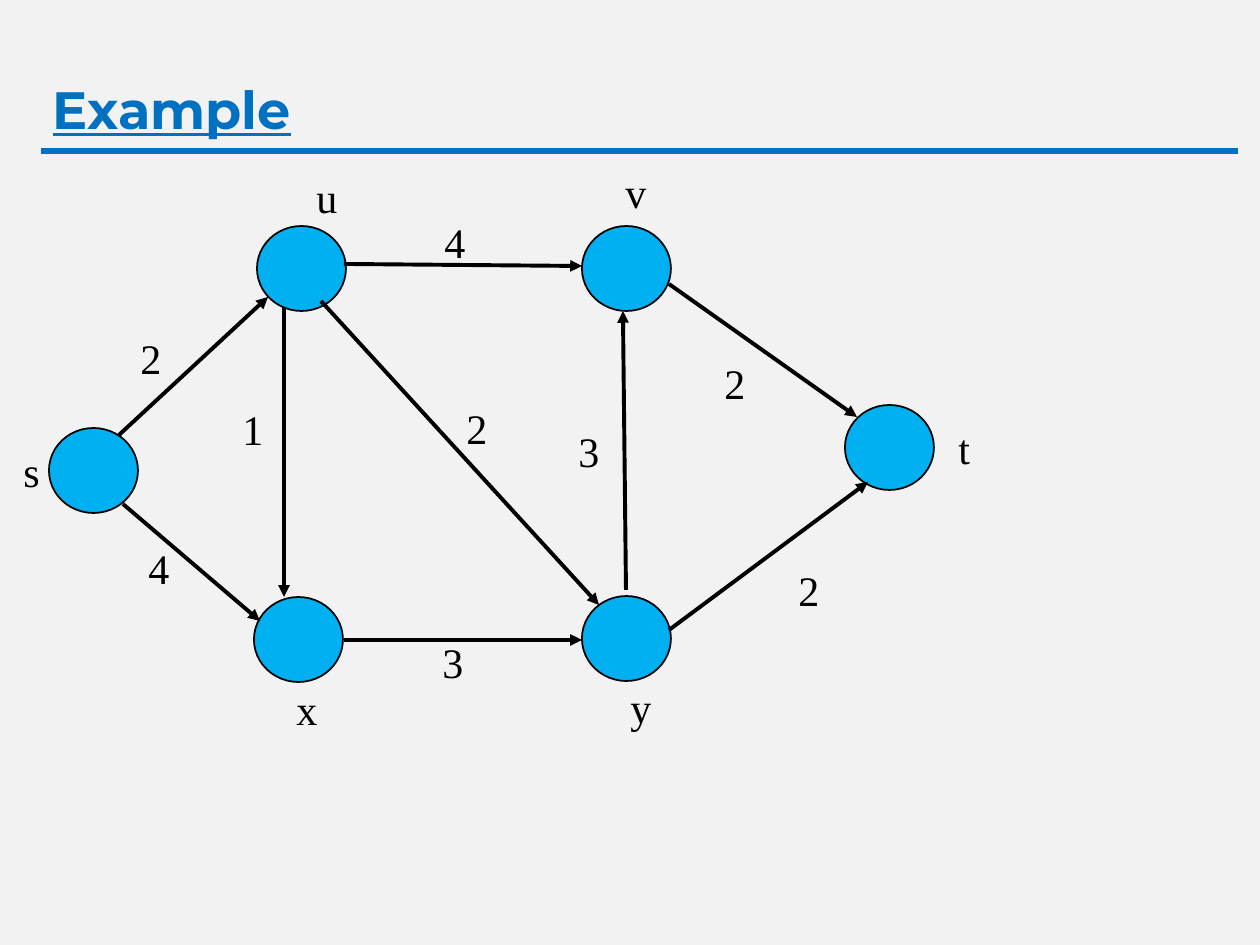
import pptx
import pptx.util
import pptx.dml.color
import pptx.enum.shapes
import pptx.enum.text
import pptx.oxml
import pptx.oxml.ns

RGB = pptx.dml.color.RGBColor
PAPER = RGB(0xF2, 0xF2, 0xF2)
BLUE = RGB(0x00, 0x70, 0xC0)
SKY = RGB(0x00, 0xB0, 0xF0)
BLACK = RGB(0, 0, 0)
SCALE = 914400 / 126
NODE_W, NODE_H = 89, 85
TEXT_H = 63


def emu(*sizes):
    return [round(size * SCALE) for size in sizes]


def draw_line(ends, color, width, arrow):
    link = slide.shapes.add_connector(
        pptx.enum.shapes.MSO_CONNECTOR.STRAIGHT, *emu(*ends))
    link.line.color.rgb = color
    link.line.width = pptx.util.Pt(width)
    space = pptx.oxml.ns.nsdecls("a")
    props = link._element.spPr
    if arrow:
        props.get_or_add_ln().append(pptx.oxml.parse_xml(
            '<a:tailEnd %s type="triangle"/>' % space))
    props.append(pptx.oxml.parse_xml("<a:effectLst %s/>" % space))


deck = pptx.Presentation()
deck.slide_width, deck.slide_height = emu(1260, 945)
slide = deck.slides.add_slide(deck.slide_layouts[5])
slide.background.fill.solid()
slide.background.fill.fore_color.rgb = PAPER

draw_line((41, 151, 1238, 151), BLUE, 3, False)

title = slide.shapes.title
title.left, title.top, title.width, title.height = emu(40, 2, 1197, 145)
title.text_frame.text = "Example"
title.text_frame.vertical_anchor = pptx.enum.text.MSO_ANCHOR.BOTTOM
head = title.text_frame.paragraphs[0]
head.alignment = pptx.enum.text.PP_ALIGN.LEFT
head.line_spacing = 0.9
font = head.runs[0].font
look = {"name": "Montserrat", "size": pptx.util.Pt(30),
        "bold": True, "underline": True}
for key, value in look.items():
    setattr(font, key, value)
font.color.rgb = BLUE

nodes = [(49, 428), (257, 226), (582, 226),
         (254, 597), (582, 596), (845, 405)]
for left, top in nodes:
    node = slide.shapes.add_shape(
        pptx.enum.shapes.MSO_SHAPE.OVAL, *emu(left, top, NODE_W, NODE_H))
    node.shadow.inherit = False
    node.fill.solid()
    node.fill.fore_color.rgb = SKY
    node.line.color.rgb = BLACK
    node.line.width = pptx.util.Pt(1)

edges = [
    (119, 435, 268, 297),
    (123, 504, 260, 621),
    (284, 307, 284, 597),
    (321, 301, 599, 605),
    (344, 264, 582, 266),
    (344, 640, 582, 640),
    (626, 590, 623, 311),
    (669, 284, 857, 417),
    (669, 630, 868, 482),
]
for edge in edges:
    draw_line(edge, BLACK, 2.25, True)

labels = [
    ("s", 11, 439, 41), ("u", 304, 165, 39), ("v", 613, 160, 46),
    ("x", 284, 677, 46), ("y", 618, 675, 46), ("t", 946, 416, 37),
    ("2", 128, 326, 46), ("4", 136, 536, 46), ("1", 230, 397, 46),
    ("2", 454, 396, 46), ("4", 432, 210, 46), ("3", 430, 630, 46),
    ("3", 566, 419, 46), ("2", 712, 351, 46), ("2", 786, 558, 46),
]
look = {"name": "Times New Roman", "size": pptx.util.Pt(24)}
for text, left, top, width in labels:
    box = slide.shapes.add_textbox(*emu(left, top, width, TEXT_H))
    frame = box.text_frame
    frame.text = text
    frame.word_wrap = text == "u"
    frame.auto_size = pptx.enum.text.MSO_AUTO_SIZE.SHAPE_TO_FIT_TEXT
    font = frame.paragraphs[0].runs[0].font
    for key, value in look.items():
        setattr(font, key, value)
    font.color.rgb = BLACK

deck.save("out.pptx")
